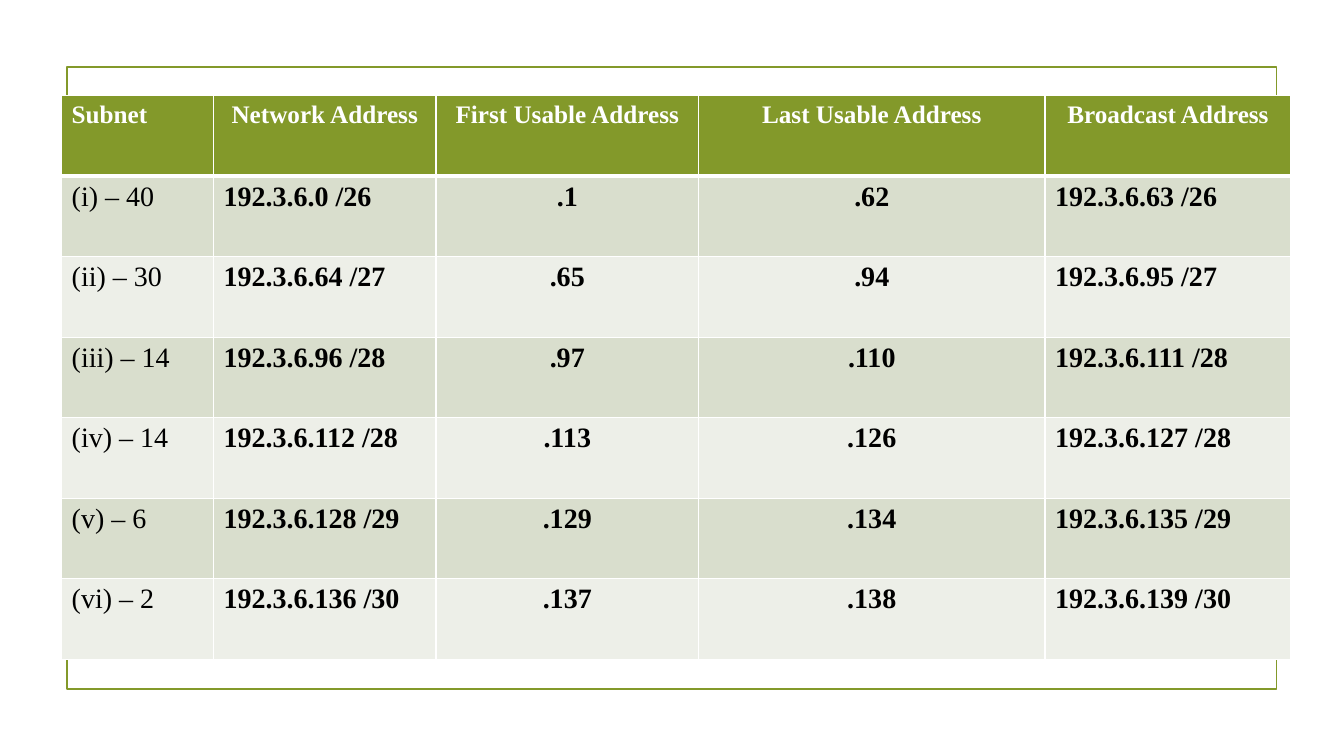
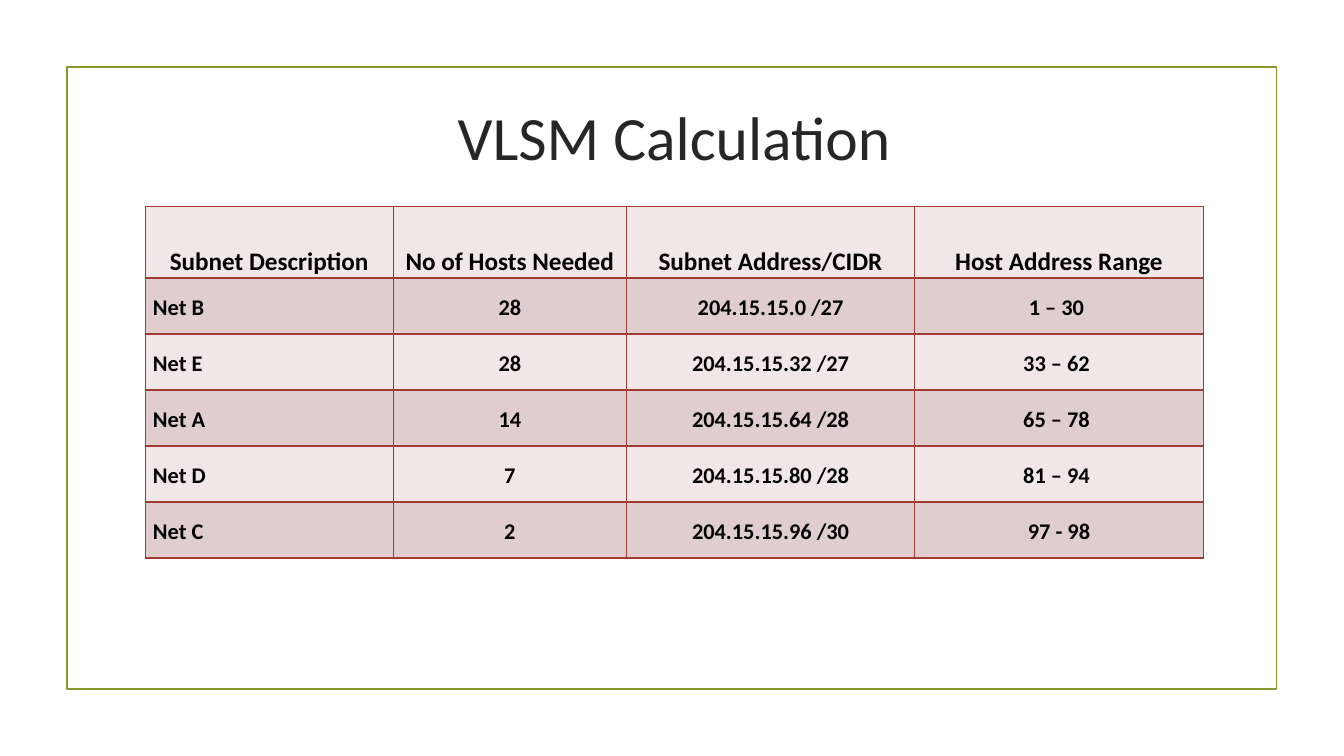
from pptx import Presentation
from pptx.dml.color import RGBColor
from pptx.enum.shapes import MSO_SHAPE
from pptx.enum.text import MSO_ANCHOR, PP_ALIGN
from pptx.oxml.ns import qn
from pptx.util import Pt
from lxml.etree import SubElement

WHITE = RGBColor(0xFF, 0xFF, 0xFF)
BLACK = RGBColor(0x00, 0x00, 0x00)
INK = RGBColor(0x26, 0x26, 0x26)
GREEN = RGBColor(0x83, 0x99, 0x2A)
SAGE = RGBColor(0xD9, 0xDE, 0xCD)
MIST = RGBColor(0xED, 0xEF, 0xE8)
RED = RGBColor(0xA2, 0x3C, 0x33)
ROSE = RGBColor(0xE0, 0xCE, 0xCE)
BLUSH = RGBColor(0xF0, 0xE8, 0xE8)

SERIF = "Times New Roman"
SANS = "Calibri"
LEFT, MID = PP_ALIGN.LEFT, PP_ALIGN.CENTER

HOSTS = [
    ["Subnet", "Network Address", "First Usable Address",
     "Last Usable Address", "Broadcast Address"],
    ["(i) – 40", "192.3.6.0 /26", ".1", ".62", "192.3.6.63 /26"],
    ["(ii) – 30", "192.3.6.64 /27", ".65", ".94", "192.3.6.95 /27"],
    ["(iii) – 14", "192.3.6.96 /28", ".97", ".110", "192.3.6.111 /28"],
    ["(iv) – 14", "192.3.6.112 /28", ".113", ".126", "192.3.6.127 /28"],
    ["(v) – 6", "192.3.6.128 /29", ".129", ".134", "192.3.6.135 /29"],
    ["(vi) – 2", "192.3.6.136 /30", ".137", ".138", "192.3.6.139 /30"],
]
NETS = [
    ["Subnet Description", "No of Hosts Needed", "Subnet Address/CIDR",
     "Host Address Range"],
    ["Net B", "28", "204.15.15.0 /27", "1 – 30 "],
    ["Net E", "28", "204.15.15.32 /27", "33 – 62 "],
    ["Net A", "14", "204.15.15.64 /28", "65 – 78 "],
    ["Net D", "7", "204.15.15.80 /28", "81 – 94 "],
    ["Net C", "2", "204.15.15.96 /30", "97 - 98"],
]


def write(par, text, font, size, color, bold=False, align=LEFT):
    par.alignment = align
    run = par.add_run()
    run.text = text
    run.font.name = font
    run.font.size = Pt(size)
    run.font.bold = bold
    run.font.color.rgb = color


def add_page(deck):
    """Add a blank slide with the green frame."""
    page = deck.slides.add_slide(deck.slide_layouts[6])
    box = page.shapes.add_shape(MSO_SHAPE.RECTANGLE, Pt(47.8), Pt(48), Pt(864), Pt(444))
    box.shadow.inherit = False
    box.fill.background()
    box.line.color.rgb = GREEN
    box.line.width = Pt(1.25)
    return page


def add_title(page, text, left, top, width, height):
    box = page.shapes.add_textbox(Pt(left), Pt(top), Pt(width), Pt(height))
    frame = box.text_frame
    frame.word_wrap = True
    frame.vertical_anchor = MSO_ANCHOR.MIDDLE
    write(frame.paragraphs[0], text, SANS, 44, INK, align=MID)


def add_edges(cell, color, top=1, base=1):
    """Draw the four borders; call before the cell gets its fill."""
    props = cell._tc.get_or_add_tcPr()
    for side, width in (("L", 1), ("R", 1), ("T", top), ("B", base)):
        line = SubElement(props, qn(f"a:ln{side}"), w=str(Pt(width)))
        fill = SubElement(line, qn("a:solidFill"))
        SubElement(fill, qn("a:srgbClr"), val=str(color))


def add_grid(page, left, top, cols, rows, data, style):
    """Add a table and let style(cell, row, col, text) dress each cell."""
    table = page.shapes.add_table(
        len(rows), len(cols), Pt(left), Pt(top), Pt(sum(cols)), Pt(sum(rows))).table
    table.first_row = table.horz_banding = False
    for col, width in zip(table.columns, cols):
        col.width = Pt(width)
    for row, height in zip(table.rows, rows):
        row.height = Pt(height)
    for r, texts in enumerate(data):
        for c, text in enumerate(texts):
            style(table.cell(r, c), r, c, text)


def paint(cell, color):
    cell.fill.solid()
    cell.fill.fore_color.rgb = color


def style_host(cell, row, col, text):
    head = row == 0
    add_edges(cell, WHITE, top=3 if row == 1 else 1, base=3 if head else 1)
    paint(cell, GREEN if head else SAGE if row % 2 else MIST)
    centred = col in (2, 3) or (head and col > 0)
    write(cell.text_frame.paragraphs[0], text, SERIF, 18 if head else 20,
          WHITE if head else BLACK, head or col > 0, MID if centred else LEFT)


def style_net(cell, row, col, text):
    head = row == 0
    add_edges(cell, RED)
    paint(cell, ROSE if row % 2 else BLUSH)
    cell.margin_left = cell.margin_right = Pt(5.6)
    cell.margin_top = cell.margin_bottom = Pt(0.7)
    cell.vertical_anchor = MSO_ANCHOR.BOTTOM if head else MSO_ANCHOR.MIDDLE
    par = cell.text_frame.paragraphs[0]
    par.line_spacing = 1.15
    par.space_before = par.space_after = Pt(6 if head else 3)
    write(par, text, SANS, 18 if head else 16, BLACK, True,
          MID if head or col else LEFT)


def host_slide(deck):
    page = add_page(deck)
    add_grid(page, 44, 68.4, [108.5, 159, 187.5, 247.5, 175.7],
             [57.5] * len(HOSTS), HOSTS, style_host)


def net_slide(deck):
    page = add_page(deck)
    add_title(page, "VLSM Calculation", 103.7, 45.4, 756, 103)
    add_grid(page, 103.7, 147.6, [177.3, 166.5, 206, 206],
             [51] + [40] * (len(NETS) - 1), NETS, style_net)


def main():
    deck = Presentation()
    deck.slide_width, deck.slide_height = Pt(960), Pt(540)
    host_slide(deck)
    net_slide(deck)
    deck.save("out.pptx")


if __name__ == "__main__":
    main()
